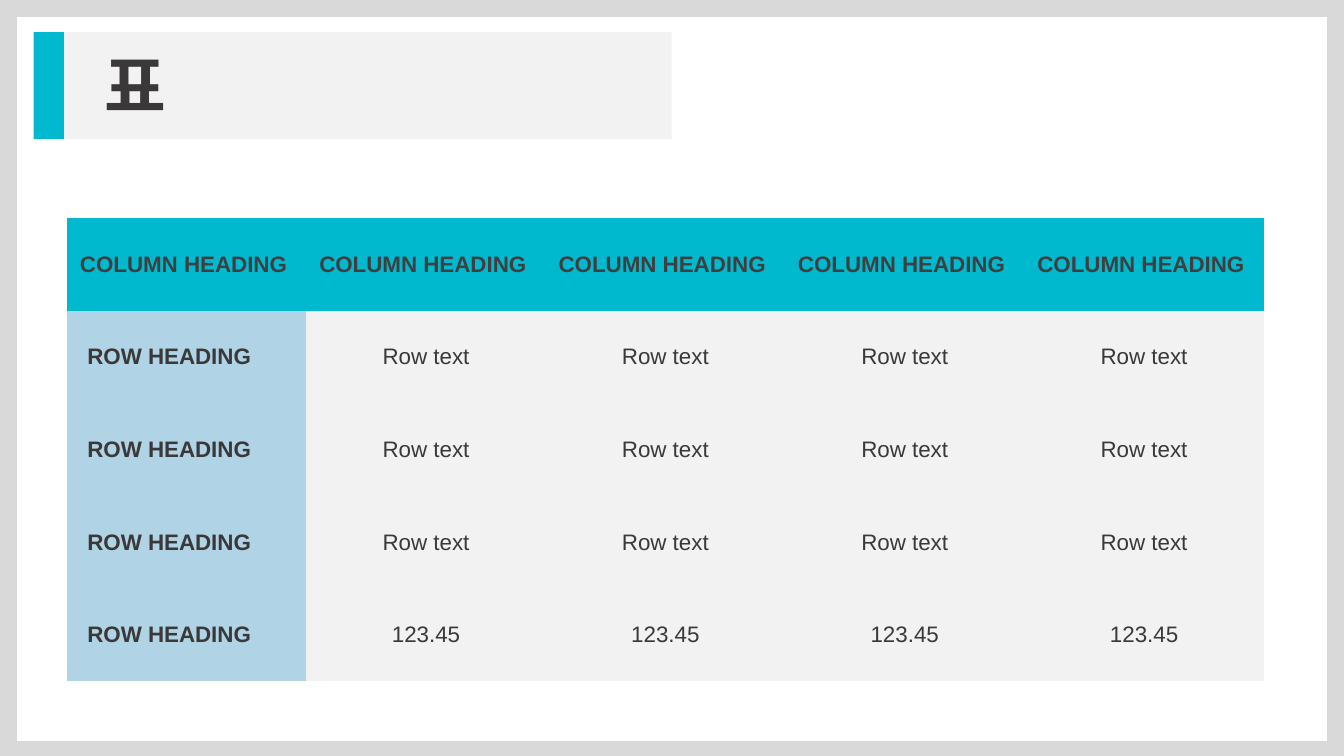
from pptx import Presentation
from pptx.dml.color import RGBColor
from pptx.enum.shapes import MSO_SHAPE
from pptx.enum.text import MSO_ANCHOR, MSO_AUTO_SIZE, PP_ALIGN
from pptx.oxml.ns import qn
from pptx.util import Cm, Pt

RECTANGLE = MSO_SHAPE.RECTANGLE
TOP, MIDDLE = MSO_ANCHOR.TOP, MSO_ANCHOR.MIDDLE
LEFT, CENTER = PP_ALIGN.LEFT, PP_ALIGN.CENTER
GROW = MSO_AUTO_SIZE.SHAPE_TO_FIT_TEXT
TITLE_ONLY = 5
PLAIN_TABLE_STYLE = "{2D5ABB26-0587-4C30-8999-92F81FD0307C}"
COLORS = {
    "frame": "D9D9D9",
    "page": "FFFFFF",
    "accent": "00B9CE",
    "row_heading": "B0D3E5",
    "panel": "F2F2F2",
    "text": "3A3838",
    "heading_text": "3F3F3F",
}
COLUMNS = 5
ROWS = [["COLUMN HEADING "] * COLUMNS]
ROWS += [["ROW HEADING"] + [value] * (COLUMNS - 1)
         for value in ["Row text"] * 3 + ["123.45"]]


def color(name):
    """Return the named palette colour."""
    return RGBColor.from_string(COLORS[name])


def write(frame, text, size=16, font="Arial", tint="text", bold=False, align=LEFT):
    """Put one formatted paragraph in a text frame."""
    paragraph = frame.paragraphs[0]
    paragraph.alignment = align
    run = paragraph.add_run()
    run.text = text
    run.font.size = Pt(size)
    run.font.name = font
    run.font.bold = bold
    run.font.color.rgb = color(tint)
    east_asian = run.font.element.makeelement(qn("a:ea"), {"typeface": font}) \
        if hasattr(run.font, "element") else None
    if east_asian is None:
        properties = paragraph.runs[0]._r.get_or_add_rPr()
        east_asian = properties.makeelement(qn("a:ea"), {"typeface": font})
        properties.find(qn("a:latin")).addnext(east_asian)


def add_block(slide, left, top, width, height, fill):
    """Draw a plain filled rectangle."""
    block = slide.shapes.add_shape(RECTANGLE, Cm(left), Cm(top), Cm(width), Cm(height))
    block.shadow.inherit = False
    block.fill.solid()
    block.fill.fore_color.rgb = color(fill)
    block.line.fill.background()


def add_page(slide, width, height, margin):
    """Fill the slide with a grey frame around a white page."""
    add_block(slide, 0, 0, width, height, "frame")
    add_block(slide, margin, margin, width - 2 * margin, height - 0.81, "page")


def add_title_bar(slide, left, top, width, height, text):
    """Draw the accented bar and set the title over it."""
    accent_width = 0.77
    add_block(slide, left, top, accent_width, height, "accent")
    add_block(slide, left + accent_width, top, width - accent_width, height, "panel")
    title = slide.shapes.title
    title.left, title.top = Cm(left + 1.52), Cm(top + 0.18)
    title.width, title.height = Cm(2.06), Cm(2.31)
    frame = title.text_frame
    frame.word_wrap = False
    frame.auto_size = GROW
    frame.vertical_anchor = TOP
    write(frame, text, size=48, font="Noto Sans CJK KR", bold=True)
    title.element.getparent().append(title.element)


def add_heading_table(slide, left, top, width, height):
    """Build the table with column headings and row headings."""
    holder = slide.shapes.add_table(
        len(ROWS), COLUMNS, Cm(left), Cm(top), Cm(width), Cm(height))
    next(holder.element.iter(qn("a:tableStyleId"))).text = PLAIN_TABLE_STYLE
    table = holder.table
    table.first_row = table.horz_banding = False
    for row, values in enumerate(ROWS):
        for column, value in enumerate(values):
            if row == 0:
                fill, tint, bold, align = "accent", "heading_text", True, CENTER
            elif column == 0:
                fill, tint, bold, align = "row_heading", "text", True, LEFT
            else:
                fill, tint, bold, align = "panel", "text", False, CENTER
            cell = table.cell(row, column)
            cell.fill.solid()
            cell.fill.fore_color.rgb = color(fill)
            cell.vertical_anchor = MIDDLE
            cell.margin_left = Cm(0.51 if align == LEFT else 0.25)
            write(cell.text_frame, value, tint=tint, bold=bold, align=align)


def main():
    """Build and save the slide."""
    deck = Presentation()
    deck.slide_width, deck.slide_height = Cm(33.87), Cm(19.05)
    slide = deck.slides.add_slide(deck.slide_layouts[TITLE_ONLY])
    add_page(slide, 33.87, 19.05, 0.43)
    add_title_bar(slide, 0.85, 0.81, 16.08, 2.69, "표")
    add_heading_table(slide, 1.69, 5.5, 30.16, 11.67)
    deck.save("out.pptx")


if __name__ == "__main__":
    main()
